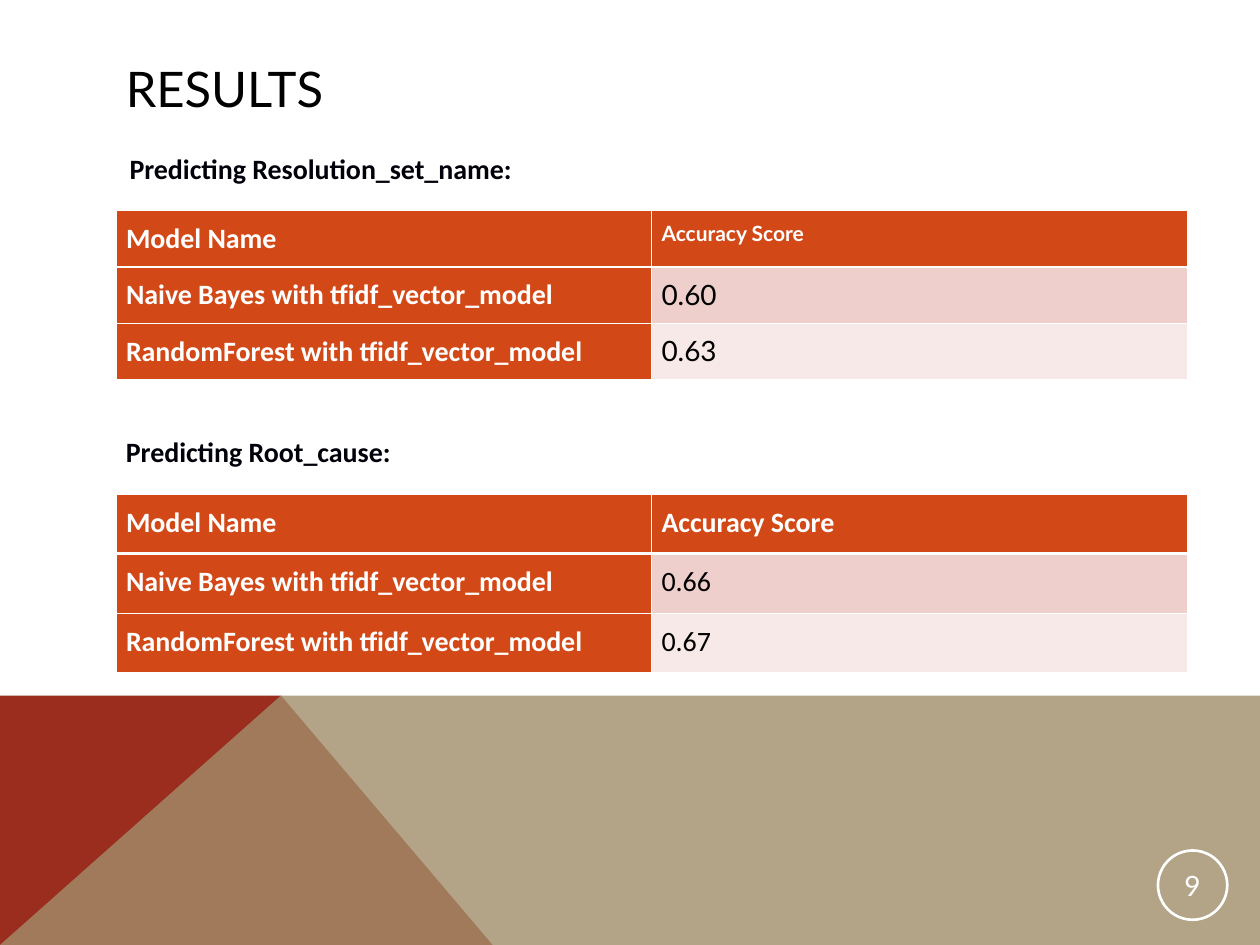
from lxml import etree
from pptx import Presentation
from pptx.dml.color import RGBColor
from pptx.enum.text import MSO_ANCHOR, PP_ALIGN
from pptx.oxml.ns import qn
from pptx.util import Inches, Pt
from pptx.enum.shapes import MSO_SHAPE

WHITE = RGBColor(0xFF, 0xFF, 0xFF)
BLACK = RGBColor(0, 0, 0)
INK = RGBColor(0, 0, 0x0A)
ORANGE = RGBColor(0xD3, 0x48, 0x17)
ROSE = RGBColor(0xEF, 0xCF, 0xCC)
BLUSH = RGBColor(0xF7, 0xE9, 0xE7)
RED = RGBColor(0x9B, 0x2D, 0x1F)
SAND = RGBColor(0xA2, 0x8E, 0x6A)

HEAD = "Model Name"
SCORE = "Accuracy Score"
BAYES = "Naive Bayes with tfidf_vector_model"
FOREST = "RandomForest with tfidf_vector_model"


def write(frame, text, size=16, font="Calibri", color=WHITE, bold=False,
          align=PP_ALIGN.LEFT, space=None):
    """Put one formatted paragraph into a text frame."""
    para = frame.paragraphs[0]
    para.alignment = align
    para.line_spacing = space
    run = para.add_run()
    run.text = text
    run.font.size = Pt(size)
    run.font.name = font
    run.font.bold = bold
    run.font.color.rgb = color


def add_label(slide, box, text, wrap=False, **style):
    """Add a text box centred vertically in its box."""
    frame = slide.shapes.add_textbox(*map(Inches, box)).text_frame
    frame.word_wrap = wrap
    frame.vertical_anchor = MSO_ANCHOR.MIDDLE
    write(frame, text, **style)


def add_facet(slide, points, color, alpha=100):
    """Draw a filled polygon through points given in inches."""
    path = [(Inches(x), Inches(y)) for x, y in points]
    build = slide.shapes.build_freeform(*path[0], scale=1.0)
    build.add_line_segments(path[1:], close=True)
    shape = build.convert_to_shape()
    shape.shadow.inherit = False
    shape.fill.solid()
    shape.fill.fore_color.rgb = color
    shape.line.fill.background()
    if alpha < 100:
        tint = shape.fill._xPr.find(f".//{qn('a:srgbClr')}")
        etree.SubElement(tint, qn("a:alpha"), val=str(alpha * 1000))


def add_base(slide, box):
    """Draw the two overlapping facets at the foot of the slide."""
    left, top, wide, high = box
    right, foot = left + wide, top + high
    peak = (left + 2.23, top)
    add_facet(slide, [(left, foot), (left, top), peak, (left + 3.91, foot)], RED)
    add_facet(slide, [(left, foot), peak, (right, top), (right, foot)], SAND, 80)


def add_badge(slide, box, text):
    """Draw the ringed page number."""
    ring = slide.shapes.add_shape(MSO_SHAPE.OVAL, *map(Inches, box))
    ring.shadow.inherit = False
    ring.fill.background()
    ring.line.color.rgb = WHITE
    ring.line.width = Pt(1.5)
    frame = ring.text_frame
    frame.margin_left = frame.margin_right = Inches(0.01)
    frame.margin_top = frame.margin_bottom = Inches(0.01)
    frame.vertical_anchor = MSO_ANCHOR.MIDDLE
    write(frame, text, font="Lato", align=PP_ALIGN.CENTER)


def add_edges(cell, top, foot):
    """Give a cell white borders, with top and foot widths in points."""
    props = cell._tc.get_or_add_tcPr()
    sides = {"lnL": 0.45, "lnR": 0.45, "lnT": top, "lnB": foot}
    for spot, (side, width) in enumerate(sides.items()):
        line = etree.Element(qn(f"a:{side}"), w=str(Pt(width)))
        fill = etree.SubElement(line, qn("a:solidFill"))
        etree.SubElement(fill, qn("a:srgbClr"), val=str(WHITE))
        props.insert(spot, line)


def add_scores(slide, box, rows, head, score):
    """Add a score table, with formats for its score heading and scores."""
    count = len(rows)
    table = slide.shapes.add_table(count, 2, *map(Inches, box)).table
    fills = [ORANGE, ROSE, BLUSH]
    for r, row in enumerate(rows):
        table.rows[r].height = Inches(box[3] / count)
        for c, text in enumerate(row):
            cell = table.cell(r, c)
            cell.margin_left = cell.margin_right = Inches(0.08)
            cell.fill.solid()
            cell.fill.fore_color.rgb = fills[r] if c else ORANGE
            add_edges(cell, 1.47 if r == 1 else 0.45, 1.47 if r == 0 else 0.45)
            style = {"bold": True}
            if c:
                style = score if r else head
            write(cell.text_frame, text, space=1.15, **style)


def main():
    """Build the results slide and save it."""
    deck = Presentation()
    deck.slide_width, deck.slide_height = Inches(10), Inches(7.5)
    slide = deck.slides.add_slide(deck.slide_layouts[6])
    add_base(slide, (0, 5.52, 10, 1.98))
    add_label(slide, (0.9, 0.4, 8.23, 0.6), "RESULTS", wrap=True,
              size=28, font="Lato", color=BLACK)
    add_badge(slide, (9.19, 6.75, 0.55, 0.55), "9")
    add_label(slide, (0.93, 1.15, 3.24, 0.37),
              "Predicting Resolution_set_name:", color=INK, bold=True)
    add_scores(slide, (0.92, 1.67, 8.5, 1.34),
               [(HEAD, SCORE), (BAYES, "0.60"), (FOREST, "0.63")],
               {"size": 12, "font": "Lato", "bold": True},
               {"font": "Lato", "color": BLACK})
    add_label(slide, (0.9, 3.4, 2.31, 0.37),
              "Predicting Root_cause:", color=INK, bold=True)
    add_scores(slide, (0.92, 3.92, 8.5, 1.42),
               [(HEAD, SCORE), (BAYES, "0.66"), (FOREST, "0.67")],
               {"bold": True}, {"color": BLACK})
    deck.save("out.pptx")


if __name__ == "__main__":
    main()
